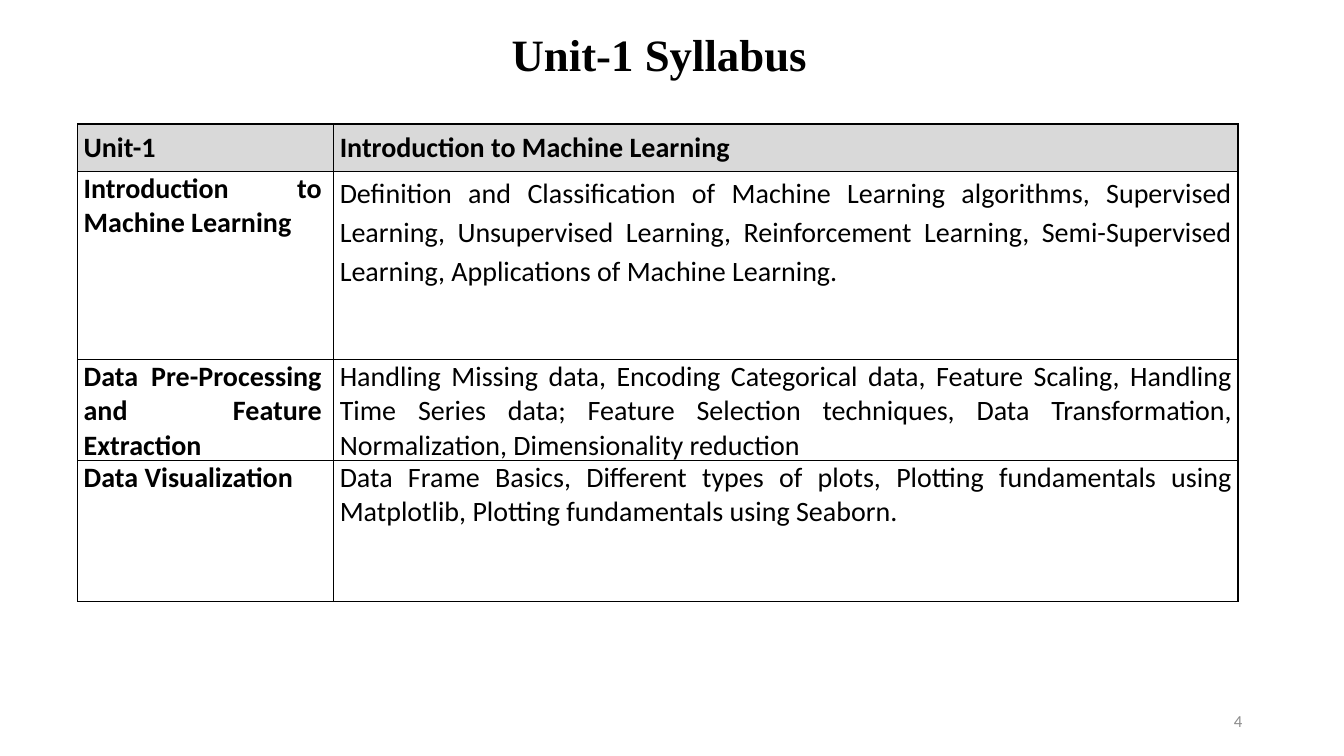
from lxml import etree
from pptx import Presentation
from pptx import util as u
from pptx.dml.color import RGBColor
from pptx.enum import text
from pptx.oxml import ns

PX = 9144  # 100 px to the inch
BLACK, GREY, HEADER_FILL = "000000", "8C8C8C", "D9D9D9"
ALIGN, ANCHOR = text.PP_ALIGN, text.MSO_ANCHOR

COLUMNS = [254, 897]
ROW_HEIGHTS = [47, 187, 94, 140]
SYLLABUS = [
    ("Unit-1", "Introduction to Machine Learning"),
    ("Introduction to Machine Learning",
     "Definition and Classification of Machine Learning algorithms, Supervised Learning, "
     "Unsupervised Learning, Reinforcement Learning, Semi-Supervised Learning, "
     "Applications of Machine Learning."),
    ("Data Pre-Processing and Feature Extraction",
     "Handling Missing data, Encoding Categorical data, Feature Scaling, "
     "Handling Time Series data; Feature Selection techniques, Data Transformation, "
     "Normalization, Dimensionality reduction"),
    ("Data Visualization",
     "Data Frame Basics, Different types of plots, Plotting fundamentals using Matplotlib, "
     "Plotting fundamentals using Seaborn."),
]


def px(length):
    return u.Emu(length * PX)


def colour(code):
    return RGBColor.from_string(code)


def apply(target, values):
    """Set every attribute named in values on target."""
    for name, value in values.items():
        setattr(target, name, value)


def write(para, words, align, size, code=BLACK, name="Calibri", bold=False, **layout):
    apply(para, {"alignment": align, **layout})
    span = para.add_run()
    span.text = words
    apply(span.font, {"name": name, "size": u.Pt(size), "bold": bold})
    span.font.color.rgb = colour(code)


def add_label(page, place, words, align, size, **style):
    frame = page.shapes.add_textbox(*map(px, place)).text_frame
    apply(frame, {"word_wrap": True, "vertical_anchor": ANCHOR.MIDDLE})
    write(frame.paragraphs[0], words, align, size, **style)


def add_borders(cell, code=BLACK, points=1):
    properties = cell._tc.get_or_add_tcPr()
    for side in ("lnL", "lnR", "lnT", "lnB"):
        line = etree.SubElement(properties, ns.qn(f"a:{side}"), w=str(u.Pt(points)))
        fill = etree.SubElement(line, ns.qn("a:solidFill"))
        etree.SubElement(fill, ns.qn("a:srgbClr"), val=code)


def fill_cell(cell, words, header, topic):
    """Format one syllabus cell; topic marks the left column."""
    apply(cell, {
        "margin_left": px(6), "margin_right": px(12 if topic else 6),
        "margin_top": 0, "margin_bottom": 0,
        "vertical_anchor": ANCHOR.MIDDLE if header else ANCHOR.TOP,
    })
    add_borders(cell)
    if header:
        cell.fill.solid()
        cell.fill.fore_color.rgb = colour(HEADER_FILL)
    else:
        cell.fill.background()
    write(cell.text_frame.paragraphs[0], words, ALIGN.JUSTIFY, 20, bold=header or topic)


def add_syllabus(page, left, top):
    size = sum(COLUMNS), sum(ROW_HEIGHTS)
    table = page.shapes.add_table(len(SYLLABUS), len(COLUMNS),
                                  *map(px, (left, top, *size))).table
    apply(table, {"first_row": False, "horz_banding": False})
    for column, width in zip(table.columns, COLUMNS):
        column.width = px(width)
    for r, (height, entries) in enumerate(zip(ROW_HEIGHTS, SYLLABUS)):
        table.rows[r].height = px(height)
        for c, words in enumerate(entries):
            fill_cell(table.cell(r, c), words, header=r == 0, topic=c == 0)
    definition = table.cell(1, 1).text_frame.paragraphs[0]
    apply(definition, {"line_spacing": 1.15, "space_after": u.Pt(8)})


def main():
    deck = Presentation()
    apply(deck, {"slide_width": px(1333), "slide_height": px(750)})
    page = deck.slides.add_slide(deck.slide_layouts[6])
    add_label(page, (79, 10, 1150, 94), "Unit-1 Syllabus", ALIGN.CENTER, 32,
              name="Times New Roman", bold=True, line_spacing=0.9)
    add_label(page, (942, 695, 300, 40), "4", ALIGN.RIGHT, 12, code=GREY)
    add_syllabus(page, 77, 123)
    deck.save("out.pptx")


if __name__ == "__main__":
    main()
